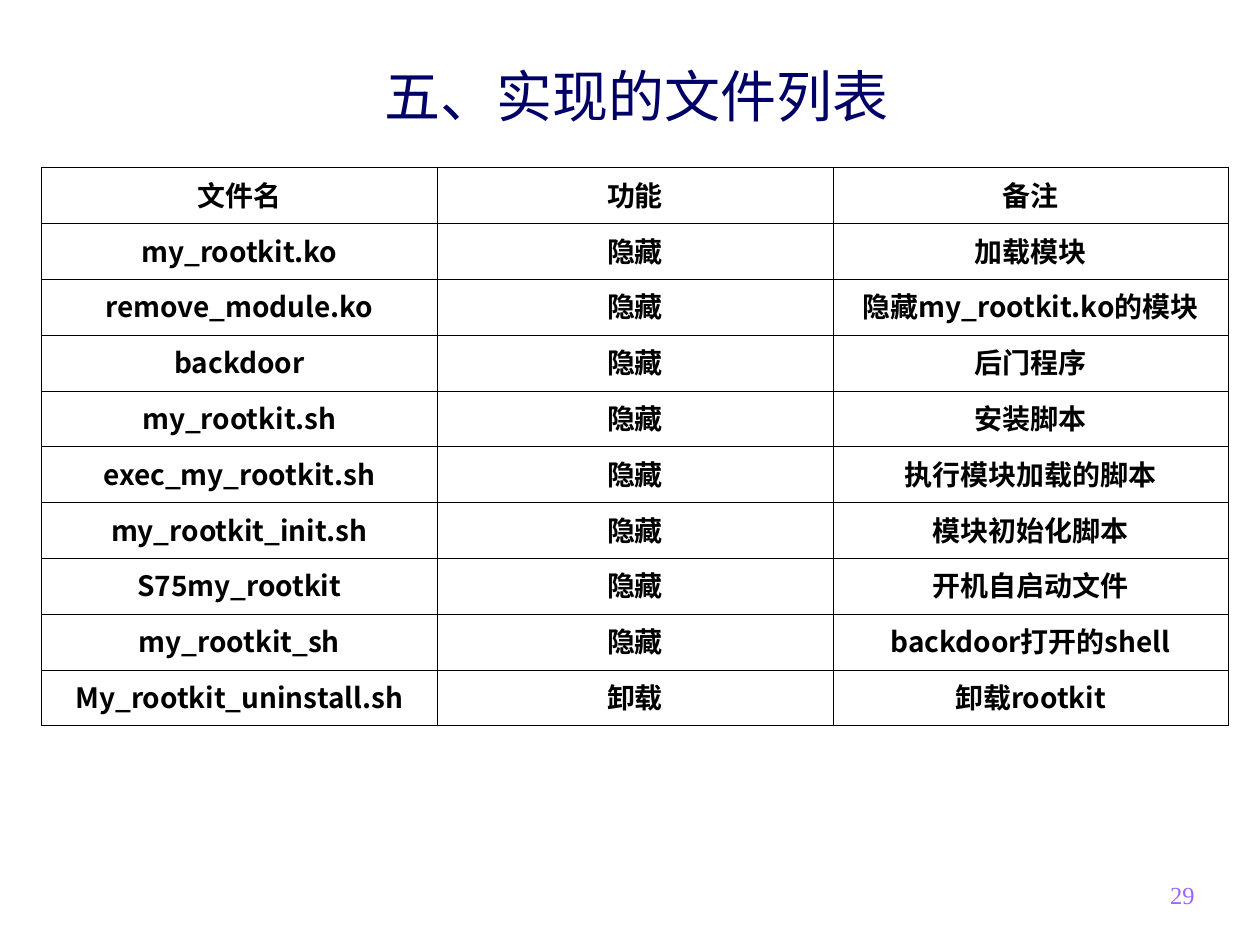
from lxml import etree
from pptx import Presentation
from pptx.dml.color import RGBColor
from pptx.enum.text import MSO_ANCHOR, MSO_AUTO_SIZE, PP_ALIGN
from pptx.oxml.ns import qn
from pptx.util import Inches, Pt

CENTER, RIGHT = PP_ALIGN.CENTER, PP_ALIGN.RIGHT
MIDDLE, BOTTOM = MSO_ANCHOR.MIDDLE, MSO_ANCHOR.BOTTOM
GROW, FIXED = MSO_AUTO_SIZE.SHAPE_TO_FIT_TEXT, MSO_AUTO_SIZE.NONE

COLORS = {"title": "000066", "text": "000000", "border": "000000", "number": "9966FF"}
CHINESE_FONT = "Noto Sans CJK SC"
TITLE = {"name": "Arial", "size": Pt(32), "bold": False}
CELL = {"name": CHINESE_FONT, "size": Pt(16), "bold": True}
NUMBER = {"name": "Times New Roman", "size": Pt(14), "bold": False}

LEFT, TABLE_TOP = 0.33, 1.33
COLUMN_WIDTH, ROW_HEIGHT = Inches(3.14), Inches(4.43 / 10)
BORDER_WIDTH = Pt(0.23)

FILES = [
    ("文件名", "功能", "备注"),
    ("my_rootkit.ko", "隐藏", "加载模块"),
    ("remove_module.ko", "隐藏", "隐藏my_rootkit.ko的模块"),
    ("backdoor", "隐藏", "后门程序"),
    ("my_rootkit.sh", "隐藏", "安装脚本"),
    ("exec_my_rootkit.sh", "隐藏", "执行模块加载的脚本"),
    ("my_rootkit_init.sh", "隐藏", "模块初始化脚本"),
    ("S75my_rootkit", "隐藏", "开机自启动文件"),
    ("my_rootkit_sh", "隐藏", "backdoor打开的shell"),
    ("My_rootkit_uninstall.sh", "卸载", "卸载rootkit"),
]


def write_text(frame, text, style, color, align):
    para = frame.paragraphs[0]
    para.alignment = align
    span = para.add_run()
    span.text = text
    for name, value in style.items():
        setattr(span.font, name, value)
    span.font.color.rgb = RGBColor.from_string(COLORS[color])
    east_asian = etree.SubElement(span.font._element, qn("a:ea"))
    east_asian.set("typeface", CHINESE_FONT)


def add_text(page, place, text, style, color, align, anchor, fit=FIXED):
    box = page.shapes.add_textbox(*(Inches(length) for length in place))
    frame = box.text_frame
    frame.word_wrap = True
    frame.auto_size = fit
    frame.vertical_anchor = anchor
    write_text(frame, text, style, color, align)


def add_borders(cell):
    """Draw a thin line on all four sides; lines must precede the fill."""
    properties = cell._tc.get_or_add_tcPr()
    for position, side in enumerate(("a:lnL", "a:lnR", "a:lnT", "a:lnB")):
        line = etree.Element(qn(side), w=str(int(BORDER_WIDTH)))
        fill = etree.SubElement(line, qn("a:solidFill"))
        etree.SubElement(fill, qn("a:srgbClr"), val=COLORS["border"])
        properties.insert(position, line)


def add_file_table(page):
    rows, columns = len(FILES), len(FILES[0])
    table = page.shapes.add_table(
        rows, columns, Inches(LEFT), Inches(TABLE_TOP),
        columns * COLUMN_WIDTH, rows * ROW_HEIGHT,
    ).table
    table.first_row = table.horz_banding = False
    for column in table.columns:
        column.width = COLUMN_WIDTH
    for row, texts in zip(table.rows, FILES):
        row.height = ROW_HEIGHT
        for cell, text in zip(row.cells, texts):
            cell.fill.background()
            add_borders(cell)
            write_text(cell.text_frame, text, CELL, "text", CENTER)


def main():
    deck = Presentation()
    deck.slide_width, deck.slide_height = Inches(10), Inches(7.5)
    page = deck.slides.add_slide(deck.slide_layouts[6])
    add_text(page, (7.5, 6.83, 2.08, 0.54), "29", NUMBER, "number", RIGHT, MIDDLE)
    add_file_table(page)
    add_text(page, (LEFT, 0.43, 9.45, 0.64), "五、实现的文件列表",
             TITLE, "title", CENTER, BOTTOM, GROW)
    deck.save("out.pptx")


if __name__ == "__main__":
    main()
